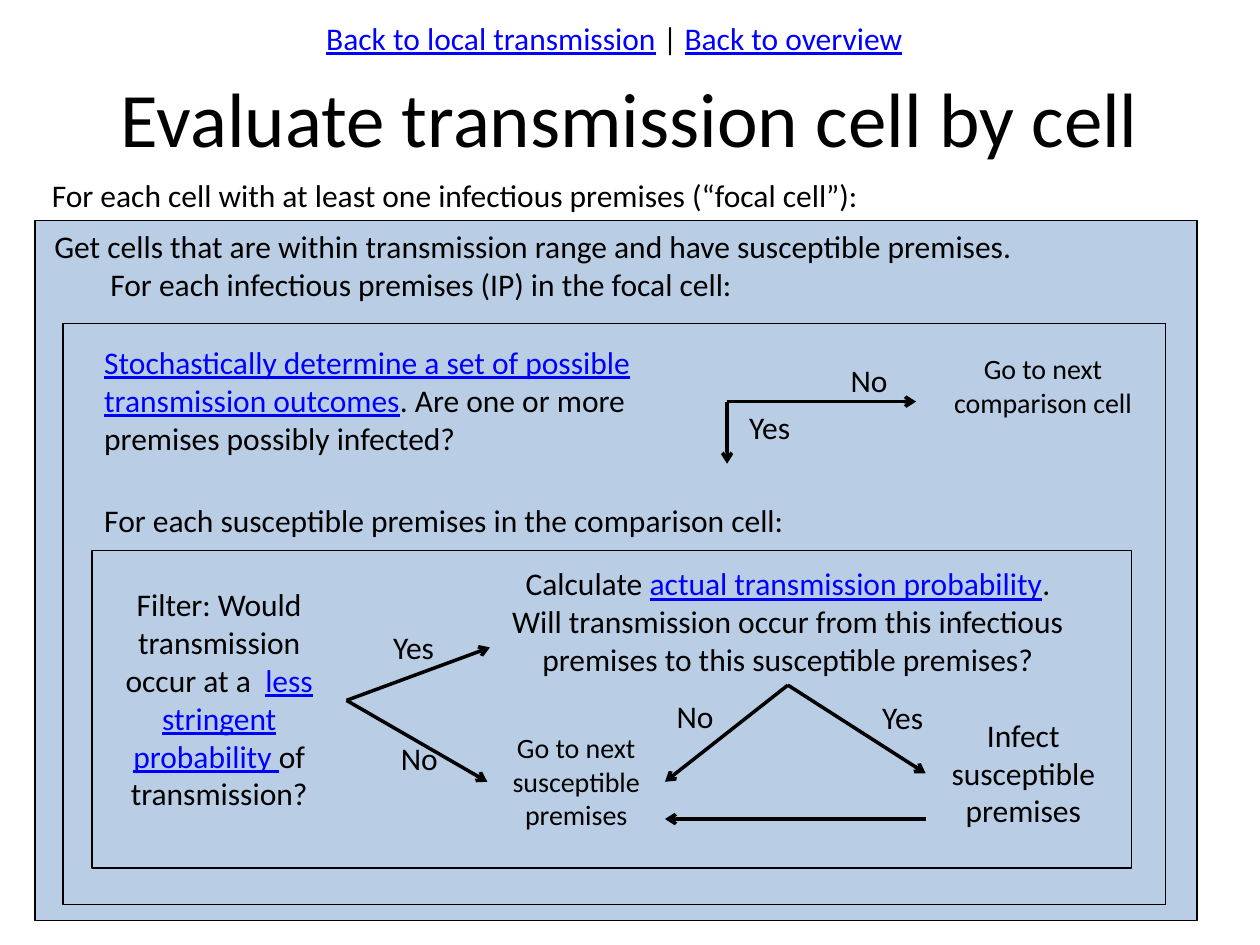
from lxml import etree
from pptx import Presentation
from pptx.dml.color import RGBColor
from pptx.enum.shapes import MSO_CONNECTOR, MSO_SHAPE
from pptx.enum.text import MSO_ANCHOR as ANCHOR, PP_ALIGN as ALIGN
from pptx.oxml.ns import qn
from pptx.util import Pt

BLACK, LINK, PANEL = "000000", "0000FF", "B9CDE5"


def rgb(color):
    return RGBColor.from_string(color)


def add_runs(p, runs, size=18, align=ALIGN.LEFT):
    p.alignment = align
    for text, color in runs:
        r = p.add_run()
        r.text = text
        r.font.name = "Calibri"
        r.font.size = Pt(size)
        r.font.color.rgb = rgb(color)
        r.font.underline = color == LINK


prs = Presentation()
prs.slide_width, prs.slide_height = Pt(720), Pt(540)
s = prs.slides.add_slide(prs.slide_layouts[5])

title = s.shapes.title
title.left, title.top, title.width, title.height = Pt(36), Pt(21.6), Pt(648), Pt(90)
title.text_frame.vertical_anchor = ANCHOR.MIDDLE
add_runs(title.text_frame.paragraphs[0],
         [("Evaluate transmission cell by cell", BLACK)], 44, ALIGN.CENTER)

frames = [
    (20, 126, 664, 400, PANEL),
    (36, 185, 630, 332, None),
    (52.5, 314.5, 594, 181.5, None),
]
panels = []
for x, y, w, h, fill in frames:
    sp = s.shapes.add_shape(MSO_SHAPE.RECTANGLE, Pt(x), Pt(y), Pt(w), Pt(h))
    sp.shadow.inherit = False
    sp.line.color.rgb = rgb(BLACK)
    sp.line.width = Pt(0.75)
    if fill:
        sp.fill.solid()
        sp.fill.fore_color.rgb = rgb(fill)
    else:
        sp.fill.background()
    panels.append(sp)

tf = panels[0].text_frame
tf.vertical_anchor = ANCHOR.TOP
steps = [
    ("Get cells that are within transmission range and have susceptible premises.", 4),
    ("For each infectious premises (IP) in the focal cell:", 36),
]
for i, (text, indent) in enumerate(steps):
    p = tf.add_paragraph() if i else tf.paragraphs[0]
    add_runs(p, [(text, BLACK)])
    p._p.get_or_add_pPr().set("marL", str(Pt(indent)))

L, C = ALIGN.LEFT, ALIGN.CENTER
texts = [
    ("nav", 52.5, 7.2, 597, 29, 18, C, [
        ("Back to local transmission", LINK), (" | ", BLACK), ("Back to overview", LINK)]),
    ("focal", 22.5, 97.2, 597, 29, 18, L, [
        ("For each cell with at least one infectious premises (“focal cell”):", BLACK)]),
    ("outcomes", 52.5, 192.5, 381.5, 72.5, 18, L, [
        ("Stochastically determine a set of possible transmission outcomes", LINK),
        (". Are one or more premises possibly infected?", BLACK)]),
    ("next cell", 533, 197.5, 126, 46, 16, C, [("Go to next comparison cell", BLACK)]),
    ("each susceptible", 52.5, 282.5, 468, 51, 18, L, [
        ("For each susceptible premises in the comparison cell:", BLACK)]),
    ("filter", 52.5, 331, 145.5, 138.5, 18, C, [
        ("Filter: Would transmission occur at a  ", BLACK),
        ("less stringent probability ", LINK), ("of transmission?", BLACK)]),
    ("calculate", 280, 319, 340.5, 72.5, 18, C, [
        ("Calculate ", BLACK), ("actual transmission probability", LINK),
        (". Will transmission occur from this infectious premises"
         " to this susceptible premises?", BLACK)]),
    ("next premises", 278.5, 414, 101.5, 65.5, 16, C, [
        ("Go to next susceptible premises", BLACK)]),
    ("infect", 533, 405.5, 103.5, 72.5, 18, C, [("Infect susceptible premises", BLACK)]),
]
answers = [
    ("No", 479, 203), ("Yes", 421, 229.5),
    ("Yes", 217.5, 355.5), ("No", 222, 419),
    ("No", 379.5, 394.5), ("Yes", 497, 395.5),
]
texts += [(None, x, y, 40, 29, 18, L, [(word, BLACK)]) for word, x, y in answers]

boxes = {}
for name, x, y, w, h, size, align, runs in texts:
    sp = s.shapes.add_textbox(Pt(x), Pt(y), Pt(w), Pt(h))
    sp.text_frame.word_wrap = True
    add_runs(sp.text_frame.paragraphs[0], runs, size, align)
    boxes[name] = sp

arrows = [
    (415.5, 229.5, 415.5, 265, None, None),
    (415.5, 229.5, 523.5, 229.5, None, None),
    (198, 400.25, 280, 370, ("filter", 3), None),
    (198, 400.25, 278.5, 446.75, ("filter", 3), ("next premises", 1)),
    (450.25, 391.5, 380, 446.75, ("calculate", 2), ("next premises", 3)),
    (450.25, 391.5, 529, 442, ("calculate", 2), None),
    (529, 468, 380, 468, None, None),
]
for x1, y1, x2, y2, start, end in arrows:
    cn = s.shapes.add_connector(MSO_CONNECTOR.STRAIGHT, Pt(x1), Pt(y1), Pt(x2), Pt(y2))
    if start:
        cn.begin_connect(boxes[start[0]], start[1])
    if end:
        cn.end_connect(boxes[end[0]], end[1])
    cn.line.color.rgb = rgb(BLACK)
    cn.line.width = Pt(2)
    etree.SubElement(cn.line._get_or_add_ln(), qn("a:tailEnd"), type="arrow")
    etree.SubElement(cn._element.spPr, qn("a:effectLst"))

prs.save("out.pptx")
